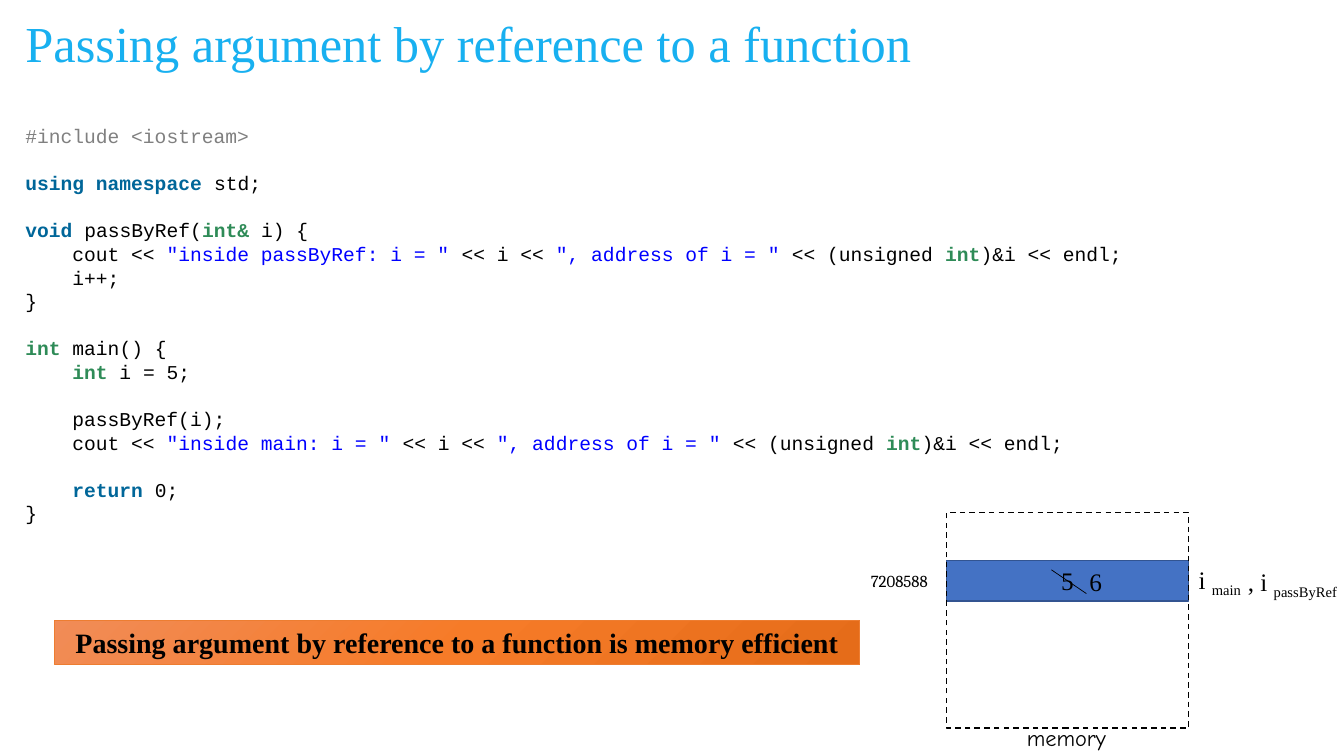
from lxml import etree
from pptx import Presentation
from pptx.dml.color import RGBColor
from pptx.enum.dml import MSO_LINE
from pptx.enum.shapes import MSO_CONNECTOR, MSO_SHAPE
from pptx.enum.text import MSO_ANCHOR, MSO_AUTO_SIZE, PP_ALIGN
from pptx.oxml.ns import qn
from pptx.util import Pt

RECT = MSO_SHAPE.RECTANGLE
STRAIGHT = MSO_CONNECTOR.STRAIGHT
DASH = MSO_LINE.DASH
MIDDLE = MSO_ANCHOR.MIDDLE
FIT_SHAPE = MSO_AUTO_SIZE.SHAPE_TO_FIT_TEXT
LEFT, CENTER = PP_ALIGN.LEFT, PP_ALIGN.CENTER

BLACK = RGBColor(0x00, 0x00, 0x00)
SKY = RGBColor(0x18, 0xB0, 0xF0)
GRAY = RGBColor(0x80, 0x80, 0x80)
TEAL = RGBColor(0x00, 0x66, 0x99)
GREEN = RGBColor(0x2E, 0x8B, 0x57)
BLUE = RGBColor(0x00, 0x00, 0xFF)
CELL_FILL = RGBColor(0x44, 0x72, 0xC4)
CELL_LINE = RGBColor(0x32, 0x54, 0x91)
ORANGE = RGBColor(0xED, 0x7D, 0x31)
BANNER_STOPS = [
    (0, RGBColor(0xF1, 0x8C, 0x57)),
    (50, RGBColor(0xF6, 0x7B, 0x28)),
    (100, RGBColor(0xE5, 0x6C, 0x19)),
]

SERIF = "Times New Roman"
MONO = "Courier New"
CODE_SIZE = 14
CODE_PITCH = 16.85
CODE_INDENT = 4 * 0.6 * CODE_SIZE

TITLE = "Passing argument by reference to a function"
BANNER = "Passing argument by reference to a function is memory efficient"

STYLES = {
    "plain": (BLACK, False),
    "directive": (GRAY, False),
    "keyword": (TEAL, True),
    "type": (GREEN, True),
    "string": (BLUE, False),
}


def cout_line(place):
    return [
        ("cout << ", "plain"),
        (f'"inside {place}: i = "', "string"),
        (" << i << ", "plain"),
        ('", address of i = "', "string"),
        (" << (unsigned ", "plain"),
        ("int", "type"),
        (")&i << endl;", "plain"),
    ]


# fields: indent level, blank lines above, runs
CODE = [
    (0, 0, [("#include <iostream>", "directive")]),
    (0, 1, [("using namespace ", "keyword"), ("std;", "plain")]),
    (0, 1, [("void ", "keyword"), ("passByRef(", "plain"),
            ("int& ", "type"), ("i) {", "plain")]),
    (1, 0, cout_line("passByRef")),
    (1, 0, [("i++;", "plain")]),
    (0, 0, [("}", "plain")]),
    (0, 1, [("int", "type"), (" main() {", "plain")]),
    (1, 0, [("int ", "type"), ("i = 5;", "plain")]),
    (1, 1, [("passByRef(i);", "plain")]),
    (1, 0, cout_line("main")),
    (1, 1, [("return", "keyword"), (" 0;", "plain")]),
    (0, 0, [("}", "plain")]),
]

MEM_X, MEM_Y, MEM_W, MEM_H = 676, 366, 173, 154
CELL_Y, CELL_H = 400.5, 28.8

# fields: left, top, width, height, font, size, text, subscript
LABELS = [
    (615, 404, 61, 21.8, "Cambria", 12, "7208588", ""),
    (MEM_X + MEM_W, 399.6, 46.8, 29, SERIF, 18, "i ", "main"),
    (726.5, 513.4, 71.3, 26.6, "Comic Neue", 16, "memory", ""),
    (771, 401, 23, 29, SERIF, 18, "6", ""),
    (884.2, 401, 79, 29, SERIF, 18, ", i ", "passByRef"),
]


def set_font(font, name, size, color=BLACK, bold=False):
    font.name = name
    font.size = Pt(size)
    font.color.rgb = color
    font.bold = bold


def add_rect(slide, x, y, w, h, line, weight, text="", size=18, bold=False):
    sp = slide.shapes.add_shape(RECT, Pt(x), Pt(y), Pt(w), Pt(h))
    sp.shadow.inherit = False
    sp.line.color.rgb = line
    sp.line.width = Pt(weight)
    if text:
        sp.text_frame.vertical_anchor = MIDDLE
        p = sp.text_frame.paragraphs[0]
        p.text = text
        p.alignment = CENTER
        set_font(p.font, SERIF, size, BLACK, bold)
    return sp


def add_label(slide, x, y, w, h, font, size, text, subscript):
    tf = slide.shapes.add_textbox(Pt(x), Pt(y), Pt(w), Pt(h)).text_frame
    tf.word_wrap = False
    tf.auto_size = FIT_SHAPE
    p = tf.paragraphs[0]
    set_font(p.font, font, size)
    p.add_run().text = text
    if subscript:
        r = p.add_run()
        r.text = subscript
        r.font._element.set("baseline", "-25000")


def add_code(slide):
    tf = slide.shapes.add_textbox(Pt(11), Pt(85), Pt(939), Pt(296)).text_frame
    tf.word_wrap = True
    for i, (level, blanks, runs) in enumerate(CODE):
        p = tf.add_paragraph() if i else tf.paragraphs[0]
        p.line_spacing = Pt(CODE_PITCH)
        p.space_before = Pt(blanks * CODE_PITCH)
        p.font.name = MONO
        p.font.size = Pt(CODE_SIZE)
        p._p.get_or_add_pPr().set("marL", str(Pt(level * CODE_INDENT)))
        for text, style in runs:
            r = p.add_run()
            r.text = text
            r.font.color.rgb, r.font.bold = STYLES[style]


def fill_gradient(sp, stops, angle):
    sp.fill.gradient()
    sp.fill.gradient_angle = angle
    gs_list = next(sp._element.iter(qn("a:gsLst")))
    for gs in list(gs_list):
        gs_list.remove(gs)
    for pos, color in stops:
        gs = etree.SubElement(gs_list, qn("a:gs"), pos=str(pos * 1000))
        etree.SubElement(gs, qn("a:srgbClr"), val=str(color))


def main():
    prs = Presentation()
    prs.slide_width, prs.slide_height = Pt(960), Pt(540)
    slide = prs.slides.add_slide(prs.slide_layouts[5])

    title = slide.shapes.title
    title.left, title.top, title.width, title.height = Pt(11), Pt(9.5), Pt(813), Pt(47)
    title.text_frame.vertical_anchor = MIDDLE
    p = title.text_frame.paragraphs[0]
    p.text = TITLE
    p.alignment = LEFT
    p.line_spacing = 0.9
    set_font(p.font, SERIF, 36, SKY)

    add_code(slide)

    cell = add_rect(slide, MEM_X, CELL_Y, MEM_W, CELL_H, CELL_LINE, 1, "5")
    cell.fill.solid()
    cell.fill.fore_color.rgb = CELL_FILL

    memory = add_rect(slide, MEM_X, MEM_Y, MEM_W, MEM_H, BLACK, 1)
    memory.fill.background()
    memory.line.dash_style = DASH

    for label in LABELS:
        add_label(slide, *label)

    strike = slide.shapes.add_connector(STRAIGHT, Pt(751), Pt(407), Pt(776), Pt(424))
    strike.line.color.rgb = BLACK
    strike.line.width = Pt(0.5)
    etree.SubElement(strike._element.spPr, qn("a:effectLst"))

    banner = add_rect(slide, 39, 443, 575, 31.5, ORANGE, 0.5, BANNER, 20, True)
    fill_gradient(banner, BANNER_STOPS, 315)

    prs.save("out.pptx")


if __name__ == "__main__":
    main()
